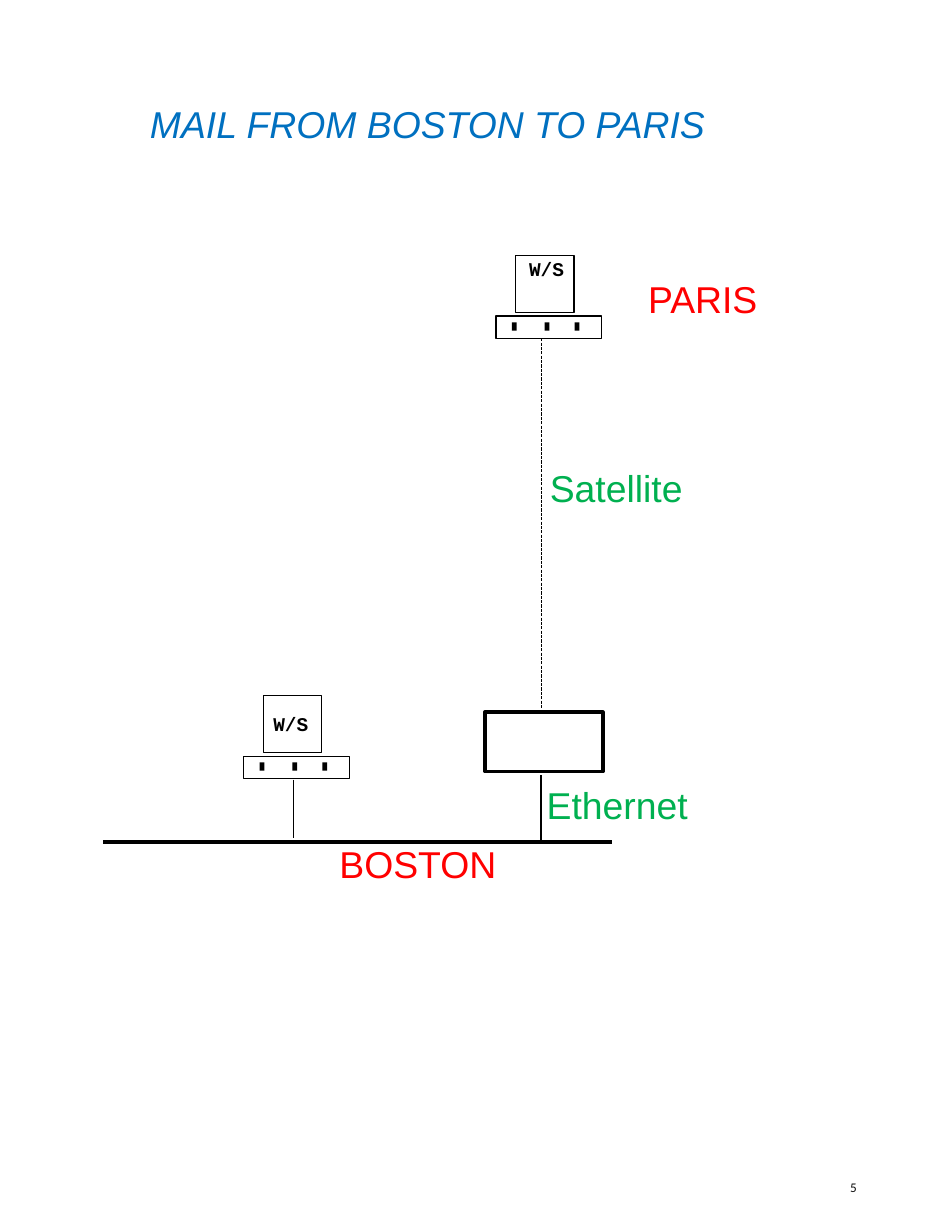
from lxml.etree import SubElement
from pptx import Presentation
from pptx.dml.color import RGBColor
from pptx.enum.dml import MSO_LINE
from pptx.enum.shapes import MSO_CONNECTOR, MSO_SHAPE
from pptx.enum.text import MSO_ANCHOR, MSO_AUTO_SIZE, PP_ALIGN
from pptx.oxml.ns import qn
from pptx.util import Cm, Pt

COLORS = {
    "title": "0070C0",
    "place": "FF0000",
    "link": "00B050",
    "ink": "000000",
    "number": "0D0D0D",
}
TITLE = {"name": "Arial", "size": Pt(24), "italic": True}
LABEL = {"name": "Arial", "size": Pt(24)}
STATION = {"name": "Courier New", "size": Pt(12.5), "bold": True}
NUMBER = {"name": "Calibri", "size": Pt(8.5)}
FRAME = {
    "margin_left": 0,
    "margin_top": 0,
    "margin_right": 0,
    "margin_bottom": 0,
    "word_wrap": True,
    "auto_size": MSO_AUTO_SIZE.NONE,
    "vertical_anchor": MSO_ANCHOR.TOP,
}
THIN, THICK, HAIR = 0.78, 2.34, 0.25


def color(name):
    return RGBColor.from_string(COLORS[name])


def set_attributes(target, values):
    for name, value in values.items():
        setattr(target, name, value)


def write_text(shape, text, font_format, color_name):
    set_attributes(shape.text_frame, FRAME)
    paragraph = shape.text_frame.paragraphs[0]
    paragraph.alignment = PP_ALIGN.LEFT
    run = paragraph.add_run()
    run.text = text
    set_attributes(run.font, font_format)
    run.font.color.rgb = color(color_name)


def add_title(slide, text, left, top, width, height):
    title = slide.shapes.title
    set_attributes(title, {"left": Cm(left), "top": Cm(top), "width": Cm(width), "height": Cm(height)})
    write_text(title, text, TITLE, "title")


def add_label(slide, text, left, top, width, height, font_format, color_name):
    box = slide.shapes.add_textbox(Cm(left), Cm(top), Cm(width), Cm(height))
    write_text(box, text, font_format, color_name)
    return box


def add_rectangle(slide, left, top, width, height, line_width=None):
    shape = slide.shapes.add_shape(MSO_SHAPE.RECTANGLE, Cm(left), Cm(top), Cm(width), Cm(height))
    shape.shadow.inherit = False
    if line_width is None:
        shape.fill.solid()
        shape.fill.fore_color.rgb = color("ink")
        shape.line.fill.background()
    else:
        shape.fill.background()
        shape.line.color.rgb = color("ink")
        shape.line.width = Pt(line_width)


def add_line(slide, start_x, start_y, end_x, end_y, line_width, dash=None):
    connector = slide.shapes.add_connector(
        MSO_CONNECTOR.STRAIGHT, Cm(start_x), Cm(start_y), Cm(end_x), Cm(end_y)
    )
    connector.line.color.rgb = color("ink")
    connector.line.width = Pt(line_width)
    if dash is not None:
        connector.line.dash_style = dash
    SubElement(connector._element.spPr, qn("a:effectLst"))


def add_workstation(slide, left, top, label_left, label_top):
    add_rectangle(slide, left + 0.45, top, 1.32, 1.3, THIN)
    add_rectangle(slide, left, top + 1.38, 2.39, 0.51, THIN)
    for key_offset in (0.36, 1.1, 1.78):
        add_rectangle(slide, left + key_offset, top + 1.52, 0.11, 0.19)
    add_label(slide, "W/S", label_left, label_top, 1.17, 0.84, STATION, "ink")


def main():
    presentation = Presentation()
    presentation.slide_width = Cm(21.59)
    presentation.slide_height = Cm(27.94)
    slide = presentation.slides.add_slide(presentation.slide_layouts[5])

    add_title(slide, "MAIL FROM BOSTON TO PARIS", 3.4, 2.29, 13.97, 1.02)

    add_workstation(slide, 11.25, 5.79, 12, 5.82)
    add_workstation(slide, 5.53, 15.77, 6.2, 16.15)
    add_rectangle(slide, 11, 16.15, 2.67, 1.35, THICK)

    bus_top, server_x, station_x = 19.1, 12.27, 6.65
    add_line(slide, 2.34, bus_top, 13.89, bus_top, THICK)
    add_line(slide, station_x, 17.68, station_x, 19, THIN)
    add_line(slide, server_x, 17.58, server_x, bus_top, THIN)
    add_line(slide, server_x, 7.67, server_x, 16.08, HAIR, MSO_LINE.LONG_DASH)

    for text, left, top, color_name in (
        ("PARIS", 14.7, 6.27, "place"),
        ("Satellite", 12.47, 10.54, "link"),
        ("Ethernet", 12.4, 17.73, "link"),
        ("BOSTON", 7.7, 19.08, "place"),
    ):
        add_label(slide, text, left, top, 3.8, 1.02, LABEL, color_name)

    number = add_label(slide, "5", 19.28, 26.37, 1.73, 1.12, NUMBER, "number")
    number.text_frame.vertical_anchor = MSO_ANCHOR.MIDDLE

    presentation.save("out.pptx")


if __name__ == "__main__":
    main()
